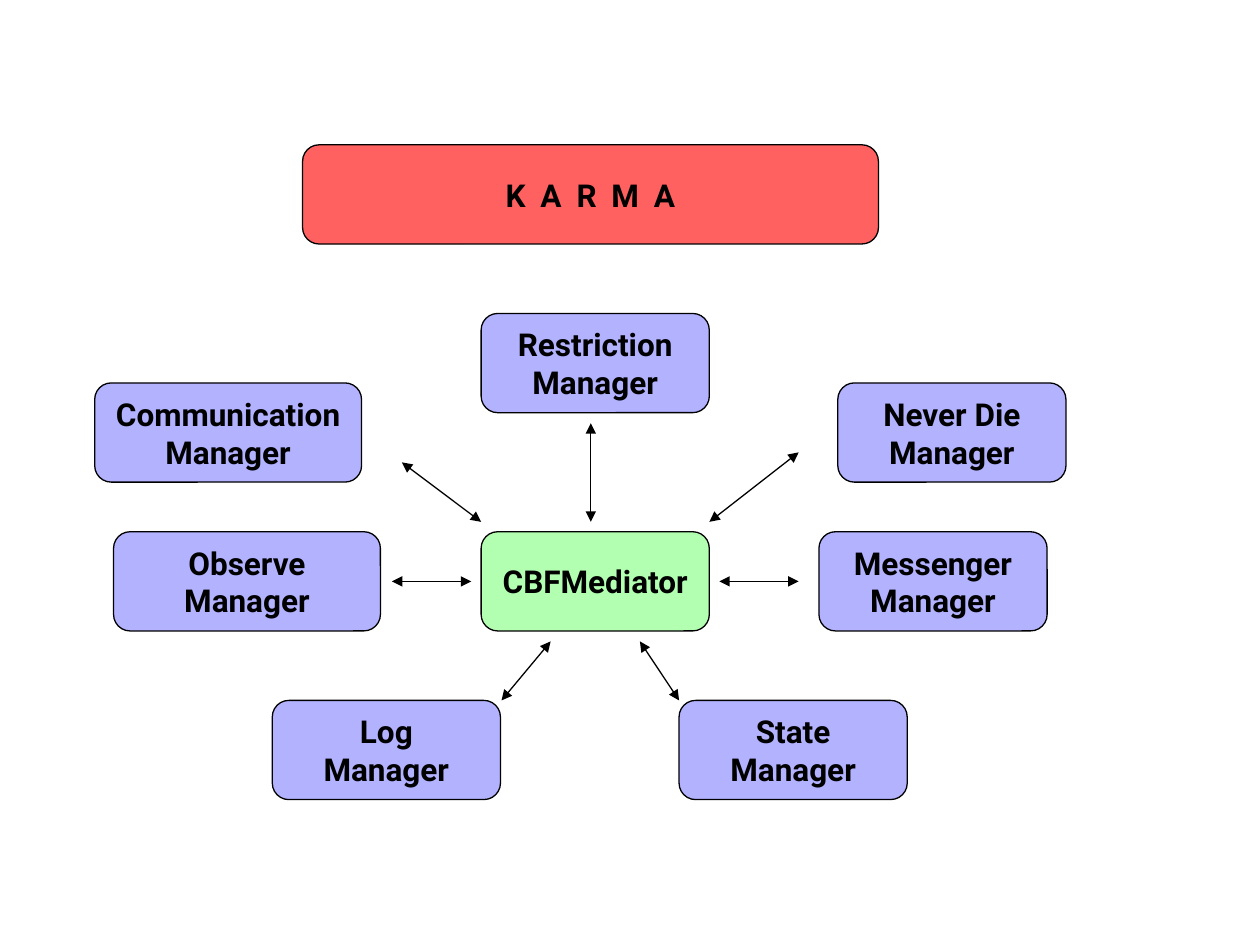
from lxml.etree import SubElement
from pptx import Presentation
from pptx.dml.color import RGBColor
from pptx.enum.shapes import MSO_CONNECTOR, MSO_SHAPE
from pptx.enum.text import MSO_ANCHOR, PP_ALIGN
from pptx.oxml.ns import qn
from pptx.util import Cm, Pt

BLACK = RGBColor(0x00, 0x00, 0x00)
RED = RGBColor(0xFF, 0x00, 0x00)
GREEN = RGBColor(0x00, 0xFF, 0x00)
BLUE = RGBColor(0x00, 0x00, 0xFF)

FONT = "Roboto"
LINE_WIDTH = Pt(0.75)
BOX_HEIGHT = 2.0
NARROW, WIDE = 4.6, 5.38

# Rows of the diagram, in cm from the top
TITLE_ROW, TOP_ROW, UPPER_ROW, MIDDLE_ROW, LOWER_ROW = 2.92, 6.32, 7.72, 10.72, 14.12
MEDIATOR_LEFT = 9.7

# Manager name, left, top, width
MANAGERS = [
    ("Communication", 1.91, UPPER_ROW, WIDE),
    ("Restriction", MEDIATOR_LEFT, TOP_ROW, NARROW),
    ("Never Die", 16.89, UPPER_ROW, NARROW),
    ("Observe", 2.29, MIDDLE_ROW, WIDE),
    ("State", 13.69, LOWER_ROW, NARROW),
    ("Messenger", 16.51, MIDDLE_ROW, NARROW),
    ("Log", 5.49, LOWER_ROW, NARROW),
]

# Arrow ends: x and y of the start, x and y of the end
ARROWS = [
    (11.91, 8.53, 11.91, 10.52),
    (14.5, 11.72, 16.1, 11.72),
    (7.9, 11.72, 9.5, 11.72),
    (8.1, 9.32, 9.7, 10.52),
    (14.3, 10.52, 16.1, 9.12),
    (10.11, LOWER_ROW, 11.1, 12.93),
    (13.69, LOWER_ROW, 12.9, 12.93),
]


def write_text(box, lines, size=18, color=BLACK, bold=True, spacing=0):
    """Write centred lines; spacing is the extra letter gap in points."""
    frame = box.text_frame
    frame.word_wrap = False
    frame.vertical_anchor = MSO_ANCHOR.MIDDLE
    for index, line in enumerate(lines):
        para = frame.paragraphs[0] if index == 0 else frame.add_paragraph()
        para.alignment = PP_ALIGN.CENTER
        span = para.add_run()
        span.text = line
        span.font.name = FONT
        span.font.size = Pt(size)
        span.font.bold = bold
        span.font.color.rgb = color
    if spacing:
        for properties in box.element.iter(qn("a:rPr")):
            properties.set("spc", str(spacing * 100))


def add_box(page, lines, left, top, width, color, opacity, **text_format):
    """Add a rounded box with a see-through fill; opacity is in percent."""
    box = page.shapes.add_shape(
        MSO_SHAPE.ROUNDED_RECTANGLE, Cm(left), Cm(top), Cm(width), Cm(BOX_HEIGHT))
    box.shadow.inherit = False
    box.fill.solid()
    box.fill.fore_color.rgb = color
    fill_color = box.element.spPr.find(qn("a:solidFill")).find(qn("a:srgbClr"))
    SubElement(fill_color, qn("a:alpha"), val=str(opacity * 1000))
    box.line.color.rgb = BLACK
    box.line.width = LINE_WIDTH
    write_text(box, lines, **text_format)


def add_double_arrow(page, *ends):
    """Add a straight line with an arrowhead at both ends."""
    arrow = page.shapes.add_connector(
        MSO_CONNECTOR.STRAIGHT, *[Cm(value) for value in ends])
    arrow.line.color.rgb = BLACK
    arrow.line.width = LINE_WIDTH
    properties = arrow.element.spPr
    outline = properties.find(qn("a:ln"))
    for end in ("a:headEnd", "a:tailEnd"):
        SubElement(outline, qn(end), type="triangle")
    SubElement(properties, qn("a:effectLst"))


def main():
    deck = Presentation()
    deck.slide_width, deck.slide_height = Cm(25.4), Cm(19.05)
    page = deck.slides.add_slide(deck.slide_layouts[6])

    # Mediator and the managers around it
    add_box(page, ["CBFMediator"], MEDIATOR_LEFT, MIDDLE_ROW, NARROW, GREEN, 30)
    for name, left, top, width in MANAGERS:
        add_box(page, [name, "Manager"], left, top, width, BLUE, 30)

    # Links between mediator and managers
    for ends in ARROWS:
        add_double_arrow(page, *ends)

    # Title bar
    add_box(page, ["K A R M A"], 6.1, TITLE_ROW, 11.61, RED, 62, spacing=2)

    deck.save("out.pptx")


main()
